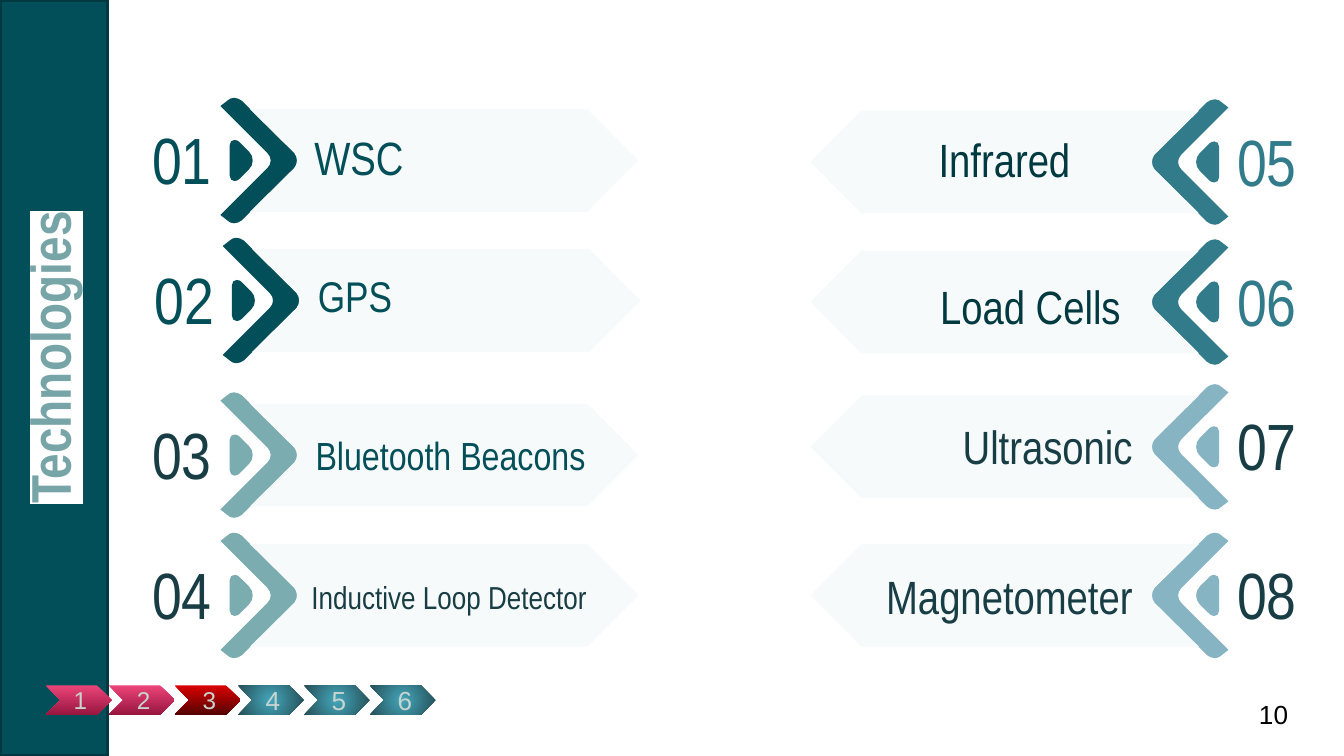
from lxml import etree
from pptx import Presentation
from pptx.dml.color import RGBColor
from pptx.enum.shapes import MSO_SHAPE as Preset
from pptx.enum.text import MSO_ANCHOR as Anchor, PP_ALIGN as Align
from pptx.oxml import parse_xml
from pptx.oxml.ns import qn, nsdecls
from pptx.util import Pt

NARROW = "Arial Narrow"
TEAL, DARK, INK = "024F59", "013940", "183D45"
SAGE, OCEAN, SKY, PALE = "7BACB0", "327B8A", "86B4C2", "F7FAFB"
PINK, RED, BLUE = ("EC4479", "97163F"), ("DB0000", "540303"), ("44A7BB", "254E56")
ITEM_WIDTH, ITEM_HEIGHT, NUMBER_WIDTH = 270, 67.2, 51

# Outlines run from the box's left edge and vertical middle:
# two values are a line's end, six are a curve's controls and end.
ARROW = [(53.3, -33.6), (51.8, -33.6, 50.8, -33, 49.7, -32), (46.1, -29.2),
         (71.3, -4), (73.6, -1.7, 73.6, 1.7, 71.3, 4), (46.1, 29.2), (49.7, 32),
         (50.8, 33, 51.8, 33.6, 53.3, 33.6), (54.8, 33.6, 56.3, 33, 57.6, 32),
         (85.7, 4), (86.8, 2.9, 87.4, 1.5, 87.4, 0), (87.4, -1.5, 86.8, -2.9, 85.7, -4),
         (57.6, -32), (56.3, -33, 54.8, -33.6, 53.3, -33.6)]
DROP = [(53.6, -11), (52.2, -11, 51.1, -9.9, 51.1, -8.3), (51.1, 8.3),
        (51.1, 9.9, 52.2, 11, 53.6, 11), (54.7, 11, 55.5, 10.6, 56.2, 10),
        (61.4, 4.8), (62.7, 3.5, 63.4, 1.8, 63.4, 0), (63.4, -1.8, 62.7, -3.5, 61.4, -4.8),
        (56.2, -10), (55.5, -10.6, 54.7, -11, 53.6, -11)]
BANNER = [(61.9, -27.5), (85.7, -4), (86.5, -2.9, 87.1, -1.5, 87.1, 0),
          (87.1, 1.5, 86.5, 2.9, 85.7, 4), (61.9, 27.5), (242.6, 27.5),
          (270, 0), (242.6, -27.5)]

# left, top, mirrored, number, number colour, arrow colour,
# label, label size, label colour, label alignment, label box
ITEMS = [
    (72, 52.4, False, "01", TEAL, TEAL, "WSC", 25, TEAL, Align.LEFT, (89.3, 5.8, 153, 52)),
    (73.2, 127.4, False, "02", TEAL, TEAL, "GPS", 23, TEAL, Align.LEFT, (90, 4.3, 204, 53)),
    (72, 210.2, False, "03", INK, SAGE, "Bluetooth Beacons", 21, TEAL, Align.LEFT,
     (90, 5.8, 233, 55)),
    (72, 285.4, False, "04", INK, SAGE, "Inductive Loop Detector", 17, INK, Align.LEFT,
     (87.8, 7.9, 199, 53)),
    (434.2, 53.2, True, "05", OCEAN, OCEAN, "Infrared", 25, DARK, Align.CENTER,
     (27.4, 6.5, 153, 51)),
    (434.2, 128.2, True, "06", OCEAN, OCEAN, "Load Cells", 25, DARK, Align.RIGHT,
     (20.2, 10, 153, 51)),
    (434.2, 205.8, True, "07", INK, SKY, "Ultrasonic", 25, INK, Align.RIGHT,
     (26.6, 5.8, 153, 55)),
    (434.2, 285.4, True, "08", INK, SKY, "Magnetometer", 25, INK, Align.RIGHT,
     (26.6, 6.5, 153, 55)),
]
# left, number, size, gradient
STEPS = [(24.5, "1", 13, PINK), (58.3, "2", 13, PINK), (93.6, "3", 13, RED),
         (127.4, "4", 14, BLUE), (162.7, "5", 14, BLUE), (198, "6", 14, BLUE)]


def color(code):
    return RGBColor.from_string(code)


def assign(target, values):
    for name, value in values.items():
        setattr(target, name, value)


def write(box, text, size, code, font=NARROW, align=Align.LEFT, anchor=Anchor.MIDDLE,
          bold=False):
    frame = box.text_frame
    inset = Pt(7.2)
    assign(frame, dict(word_wrap=True, vertical_anchor=anchor, margin_left=inset,
                       margin_right=inset, margin_top=inset, margin_bottom=inset))
    para = frame.paragraphs[0]
    para.alignment = align
    span = para.add_run()
    span.text = text
    assign(span.font, dict(size=Pt(size), name=font, bold=bold))
    span.font.color.rgb = color(code)
    return span


def add_text(shapes, bounds, *content, **style):
    box = shapes.add_textbox(*map(Pt, bounds))
    write(box, *content, **style)


def add_outline(shapes, outline, left, middle, mirrored, code):
    """Draw the outline's corners, then bend the sides that are curves."""
    parts = []
    for part in outline:
        pairs = zip(part[::2], part[1::2])
        parts.append([(Pt(left + (ITEM_WIDTH - x if mirrored else x)), Pt(middle + y))
                      for x, y in pairs])
    builder = shapes.build_freeform(*parts[0][-1])
    builder.add_line_segments([part[-1] for part in parts[1:]], close=True)
    shape = builder.convert_to_shape()
    sides = shape._element.spPr.findall(".//" + qn("a:lnTo"))
    for side, part in zip(sides, parts[1:]):
        if len(part) == 3:
            curve = etree.Element(qn("a:cubicBezTo"))
            for x, y in part:
                etree.SubElement(curve, qn("a:pt"), x=str(x - shape.left), y=str(y - shape.top))
            side.getparent().replace(side, curve)
    shape.shadow.inherit = False
    shape.fill.solid()
    shape.fill.fore_color.rgb = color(code)
    shape.line.fill.background()


def add_item(page, left, top, mirrored, number, number_color, arrow_color,
             label, size, label_color, align, label_box):
    shapes = page.shapes.add_group_shape().shapes
    for outline, code in ((ARROW, arrow_color), (DROP, arrow_color), (BANNER, PALE)):
        add_outline(shapes, outline, left, top + ITEM_HEIGHT / 2, mirrored, code)
    x, y, width, height = label_box
    add_text(shapes, (left + x, top + y, width, height), label, size, label_color, align=align)
    number_left = left + (ITEM_WIDTH - NUMBER_WIDTH if mirrored else 0)
    add_text(shapes, (number_left, top + 4.3, NUMBER_WIDTH, 53), number, 35, number_color,
             align=Align.CENTER, anchor=Anchor.TOP)


def add_sidebar(page, left, top, width, height):
    bar = page.shapes.add_shape(Preset.RECTANGLE, *map(Pt, (left, top, width, height)))
    bar.shadow.inherit = False
    bar.fill.solid()
    bar.fill.fore_color.rgb = color(TEAL)
    bar.line.color.rgb = color(DARK)
    bar.line.width = Pt(2)

    title = page.shapes.title
    bar._element.addnext(title._element)
    assign(title, dict(left=Pt(left - 151.2), top=Pt(top + 167), width=Pt(355.7),
                       height=Pt(49), rotation=270))
    span = write(title, "Technologies", 30, "77A4A7", align=Align.CENTER,
                 anchor=Anchor.BOTTOM, bold=True)
    highlight = parse_xml(f'<a:highlight {nsdecls("a")}><a:srgbClr val="FFFFFF"/></a:highlight>')
    span._r.rPr.find(qn("a:latin")).addprevious(highlight)


def add_step(page, left, top, width, height, number, size, gradient):
    step = page.shapes.add_shape(Preset.CHEVRON, *map(Pt, (left, top, width, height)))
    step.shadow.inherit = False
    step.line.fill.background()
    step.fill.gradient()
    step.fill.gradient_angle = 270
    for stop, position, code in zip(step.fill.gradient_stops, (0, 1), gradient):
        stop.position = position
        stop.color.rgb = color(code)
    if gradient == BLUE:
        linear = step._element.spPr.find(".//" + qn("a:lin"))
        radial = etree.Element(qn("a:path"), path="circle")
        etree.SubElement(radial, qn("a:fillToRect"), l="50000", t="50000", r="50000", b="50000")
        linear.getparent().replace(linear, radial)
    write(step, number, size, "C7D4CF", font="Arial")


def main():
    deck = Presentation()
    deck.slide_width, deck.slide_height = Pt(720), Pt(405)
    page = deck.slides.add_slide(deck.slide_layouts[5])
    add_sidebar(page, 0, 0, 57.6, 405)
    for item in ITEMS:
        add_item(page, *item)
    add_text(page.shapes, (667.4, 367.2, 43.2, 31), "10", 14, "000000", font="Arial")
    for left, *step in STEPS:
        add_step(page, left, 367.2, 35.3, 15.8, *step)
    deck.save("out.pptx")


if __name__ == "__main__":
    main()
